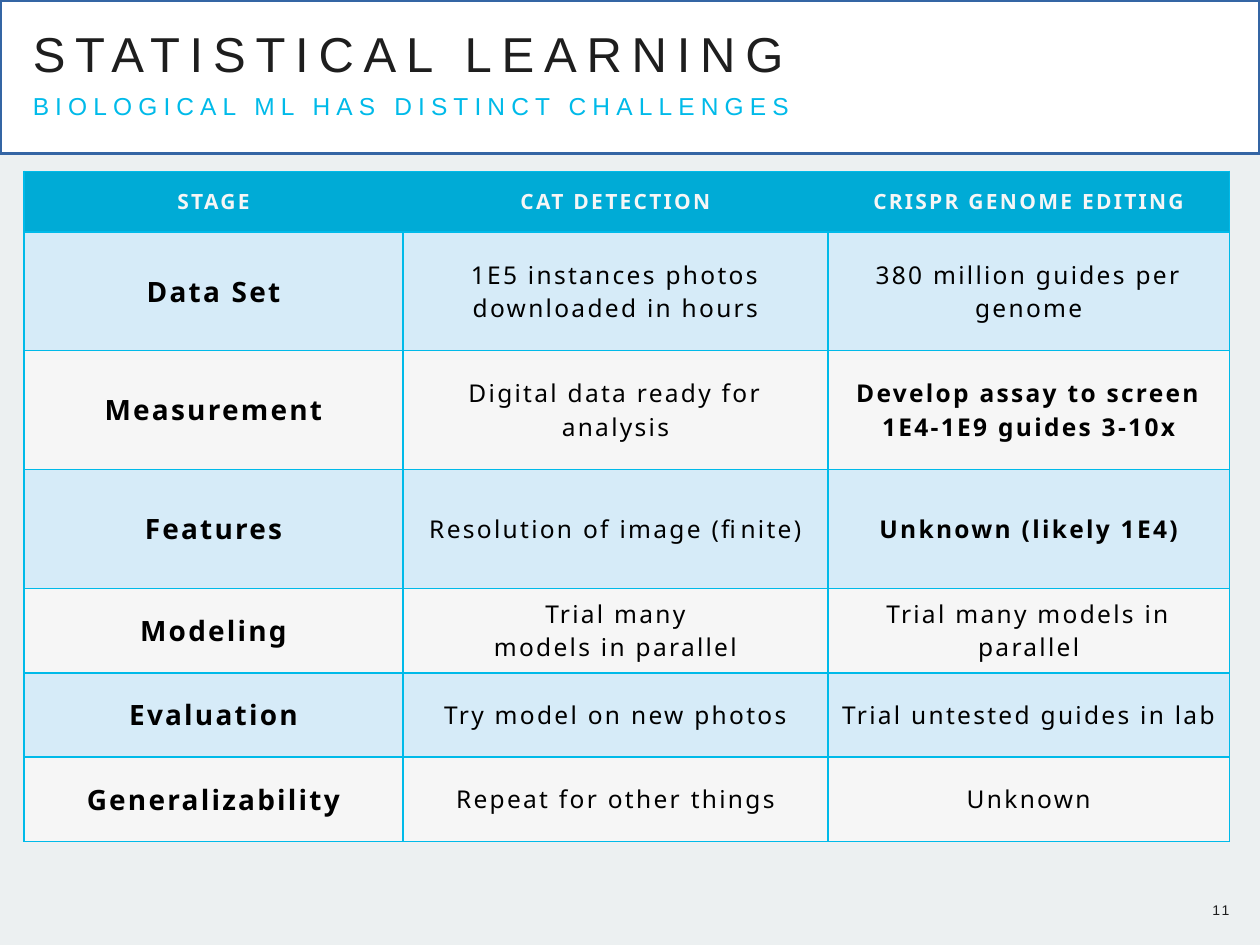
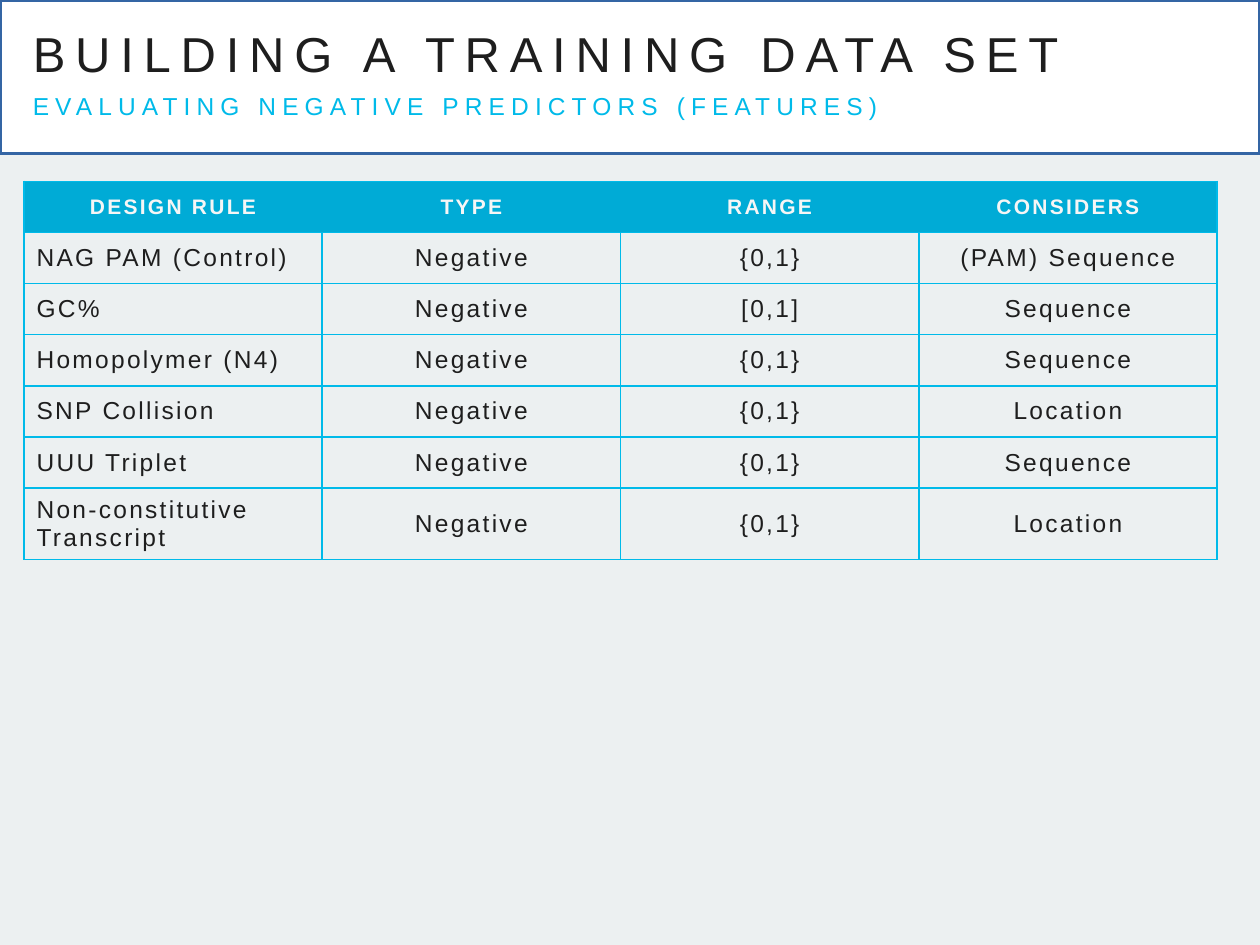
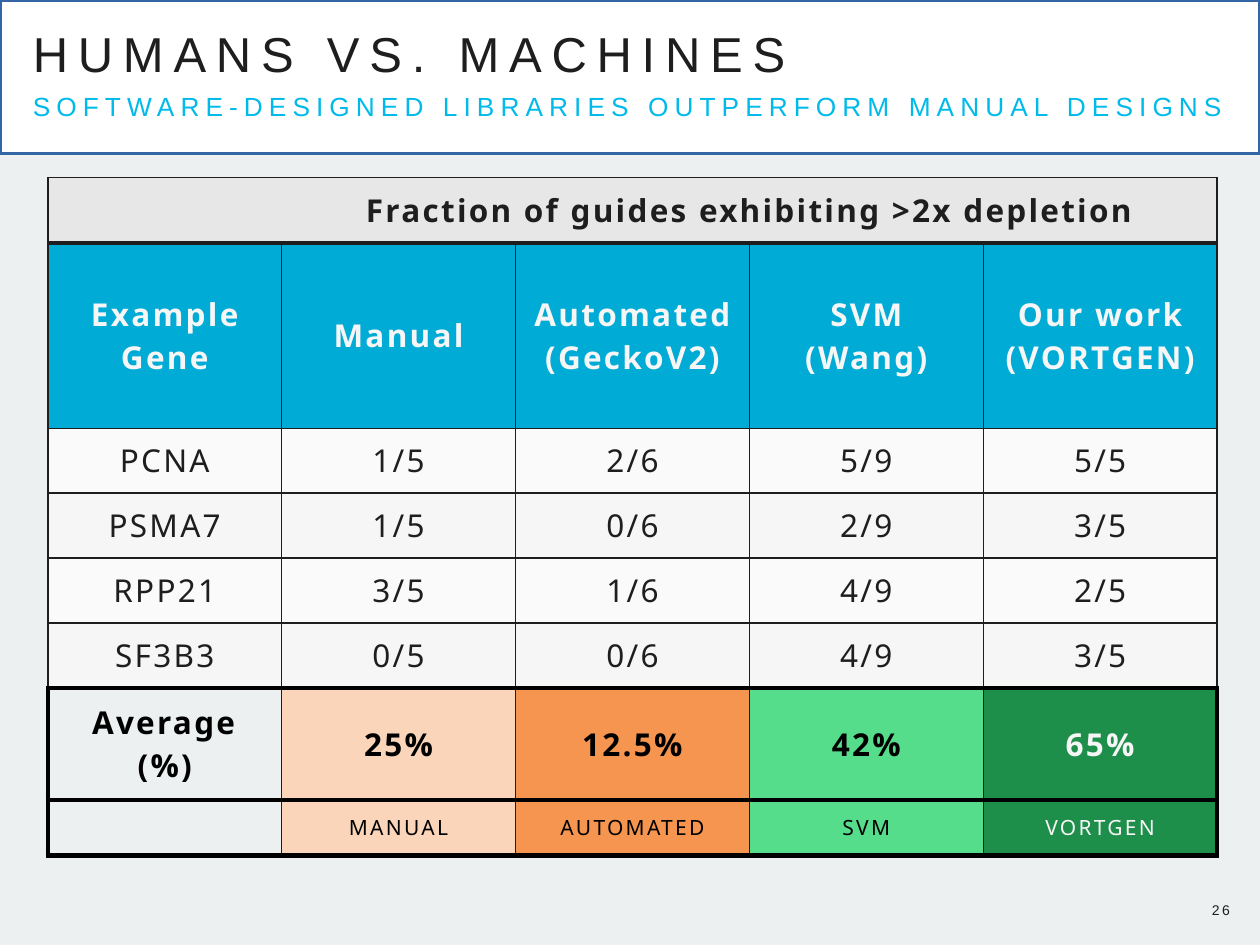
from dataclasses import dataclass

from lxml.etree import SubElement
from pptx import Presentation
from pptx.dml.color import RGBColor
from pptx.enum.shapes import MSO_SHAPE as Preset
from pptx.enum.text import MSO_ANCHOR as Anchor, PP_ALIGN as Align
from pptx.oxml.ns import qn
from pptx.util import Inches, Pt

COLORS = {
    "page": "ECF0F1", "band": "FFFFFF", "band_line": "3465A4",
    "ink": "1E1E1E", "black": "000000", "cyan": "00BAE9", "header": "00ABD6",
    "pale": "F6F6F6", "paler": "FAFAFA", "sky": "D6EBF8", "caption": "E7E7E7",
    "peach": "FBD5B9", "orange": "F5954F", "mint": "56DD8B", "green": "1D8F4A",
}
SANS, NOTO = "Arial", "Noto Sans"
WIDTH, HEIGHT = 10, 7.5
LEFT = 0.19
TRACKING = 1.3

STAGES = [
    ["STAGE", "CAT DETECTION", "CRISPR GENOME EDITING"],
    ["Data Set", "1E5 instances photos downloaded in hours", "380 million guides per genome"],
    ["Measurement", "Digital data ready for analysis", "Develop assay to screen 1E4-1E9 guides 3-10x"],
    ["Features", "Resolution of image (finite)", "Unknown (likely 1E4)"],
    ["Modeling", "Trial many\nmodels in parallel", "Trial many models in parallel"],
    ["Evaluation", "Try model on new photos", "Trial untested guides in lab"],
    ["Generalizability", "Repeat for other things", "Unknown"],
]
BINARY = "{0,1}"
RULES = [
    ["DESIGN RULE", "TYPE", "RANGE", "CONSIDERS"],
    ["NAG PAM (Control)", "Negative", BINARY, "(PAM) Sequence"],
    ["GC%", "Negative", "[0,1]", "Sequence"],
    ["Homopolymer (N4)", "Negative", BINARY, "Sequence"],
    ["SNP Collision", "Negative", BINARY, "Location"],
    ["UUU Triplet", "Negative", BINARY, "Sequence"],
    ["Non-constitutive Transcript", "Negative", BINARY, "Location"],
]
DEPLETION = [
    ["", "Fraction of guides exhibiting >2x depletion", "", "", ""],
    ["Example\nGene", "Manual", "Automated\n(GeckoV2)", "SVM\n(Wang)", "Our work\n(VORTGEN)"],
    ["PCNA", "1/5", "2/6", "5/9", "5/5"],
    ["PSMA7", "1/5", "0/6", "2/9", "3/5"],
    ["RPP21", "3/5", "1/6", "4/9", "2/5"],
    ["SF3B3", "0/5", "0/6", "4/9", "3/5"],
    ["Average (%)", "25%", "12.5%", "42%", "65%"],
    ["", "MANUAL", "AUTOMATED", "SVM", "VORTGEN"],
]
METHOD_FILLS = [None, "peach", "orange", "mint", "green"]


@dataclass
class Look:
    size: float
    ink: str = "ink"
    fill: str = None
    bold: bool = False
    font: str = NOTO
    align: Align = Align.CENTER
    tracking: float = TRACKING


def rgb(name):
    return RGBColor.from_string(COLORS[name])


def format_text(frame, look):
    for paragraph in frame.paragraphs:
        paragraph.alignment = look.align
        paragraph.font.size = Pt(look.size)
        for run in paragraph.runs:
            run.font.name = look.font
            run.font.size = Pt(look.size)
            run.font.bold = look.bold
            run.font.color.rgb = rgb(look.ink)
            run.font._element.set("spc", str(round(look.tracking * 100)))


def add_label(slide, text, box, look, inset=(0.07, 0.04), anchor=Anchor.TOP):
    frame = slide.shapes.add_textbox(*map(Inches, box)).text_frame
    frame.word_wrap = False
    frame.margin_left = frame.margin_right = Inches(inset[0])
    frame.margin_top = frame.margin_bottom = Inches(inset[1])
    frame.vertical_anchor = anchor
    frame.text = text
    format_text(frame, look)


def add_headed_slide(deck, title, subtitle, subtitle_size=14, number=None):
    slide = deck.slides.add_slide(deck.slide_layouts[6])
    band = slide.shapes.add_shape(Preset.RECTANGLE, 0, 0, Inches(WIDTH), Inches(1.22))
    band.shadow.inherit = False
    band.fill.solid()
    band.fill.fore_color.rgb = rgb("band")
    band.line.color.rgb = rgb("band_line")
    band.line.width = Pt(2)
    text_width = WIDTH - LEFT
    add_label(slide, title, (LEFT, 0.15, text_width, 0.53),
              Look(28, font=SANS, align=Align.LEFT, tracking=5.6))
    add_label(slide, subtitle, (LEFT, 0.68, text_width, 0.48),
              Look(subtitle_size, "cyan", font=SANS, align=Align.LEFT, tracking=3.5))
    if number:
        add_label(slide, number, (9.49, 7.16, 0.4, 0.13), Look(8, font=SANS),
                  (0, 0), Anchor.MIDDLE)
    return slide


def draw_border(cell, side, border):
    properties = cell._tc.get_or_add_tcPr()
    line = SubElement(properties, qn(f"a:ln{side}"))
    if border is None:
        SubElement(line, qn("a:noFill"))
        return
    color, width = border
    line.set("w", str(Pt(width)))
    SubElement(SubElement(line, qn("a:solidFill")), qn("a:srgbClr")).set("val", COLORS[color])


def add_grid(slide, left, top, widths, heights, texts, look_at, across, down, merge=None):
    frame = slide.shapes.add_table(len(heights), len(widths), Inches(left), Inches(top),
                                   Inches(sum(widths)), Inches(sum(heights)))
    table = frame.table
    table.first_row = table.horz_banding = False
    for column, width in zip(table.columns, widths):
        column.width = Inches(width)
    for row, height in zip(table.rows, heights):
        row.height = Inches(height)
    if merge:
        start, end = merge
        table.cell(*start).merge(table.cell(*end))
    for r, row_texts in enumerate(texts):
        for c, text in enumerate(row_texts):
            cell = table.cell(r, c)
            look = look_at(r, c)
            span = cell.span_width if cell.is_merge_origin else 1
            draw_border(cell, "L", down(r, c))
            draw_border(cell, "R", down(r, c + span))
            draw_border(cell, "T", across(r))
            draw_border(cell, "B", across(r + 1))
            if look.fill:
                cell.fill.solid()
                cell.fill.fore_color.rgb = rgb(look.fill)
            else:
                cell.fill.background()
            cell.vertical_anchor = Anchor.MIDDLE
            cell.text_frame.text = text
            format_text(cell.text_frame, look)


def cyan_across(line):
    return "cyan", 1


def cyan_down(columns):
    return lambda row, line: None if row == 0 and 0 < line < columns else ("cyan", 1)


def stage_look(row, column):
    if row == 0:
        return Look(12, "pale", "header", True)
    fill = "sky" if row % 2 else "pale"
    if column == 0:
        return Look(16, "black", fill, True)
    return Look(14, "black", fill, column == 2 and row in (2, 3))


def rule_look(row, column):
    if row == 0:
        return Look(12, "pale", "header", True, SANS)
    return Look(14, font=SANS, align=Align.CENTER if column else Align.LEFT)


def depletion_look(row, column):
    if row == 0:
        return Look(18, fill="caption", bold=True)
    if row == 1:
        return Look(18, "pale", "header", True)
    if row < 6:
        return Look(18, fill="pale" if row % 2 else "paler")
    ink = "pale" if column == 4 else "black"
    return Look(18 if row == 6 else 12, ink, METHOD_FILLS[column], row == 6)


def depletion_across(line):
    if line == 1:
        return "ink", 3
    return ("black", 3) if line >= 6 else ("ink", 1)


def depletion_down(row, line):
    outer = line in (0, 5)
    if row == 0 and not outer:
        return None
    return ("black", 3) if row >= 6 and outer else ("ink", 1)


def main():
    deck = Presentation()
    deck.slide_width, deck.slide_height = Inches(WIDTH), Inches(HEIGHT)
    background = deck.slide_master.background.fill
    background.solid()
    background.fore_color.rgb = rgb("page")

    learning = add_headed_slide(deck, "STATISTICAL LEARNING",
                                "BIOLOGICAL ML HAS DISTINCT CHALLENGES", number="11")
    add_grid(learning, LEFT, 1.36, [3.01, 3.37, 3.19], [0.48] + [2.83 / 3] * 3 + [0.67] * 3,
             STAGES, stage_look, cyan_across, cyan_down(3))

    training = add_headed_slide(deck, "BUILDING A TRAINING DATA SET",
                                "EVALUATING NEGATIVE PREDICTORS (FEATURES)")
    add_grid(training, LEFT, 1.44, [9.47 / 4] * 4, [2.84 / 7] * 7,
             RULES, rule_look, cyan_across, cyan_down(4))

    versus = add_headed_slide(deck, "HUMANS VS. MACHINES",
                              "SOFTWARE-DESIGNED LIBRARIES OUTPERFORM MANUAL DESIGNS", 15, "26")
    add_grid(versus, 2 * LEFT, 1.41, [9.28 / 5] * 5, [0.52, 1.47] + [2.06 / 4] * 4 + [0.89, 0.44],
             DEPLETION, depletion_look, depletion_across, depletion_down, ((0, 1), (0, 4)))

    deck.save("out.pptx")


if __name__ == "__main__":
    main()
